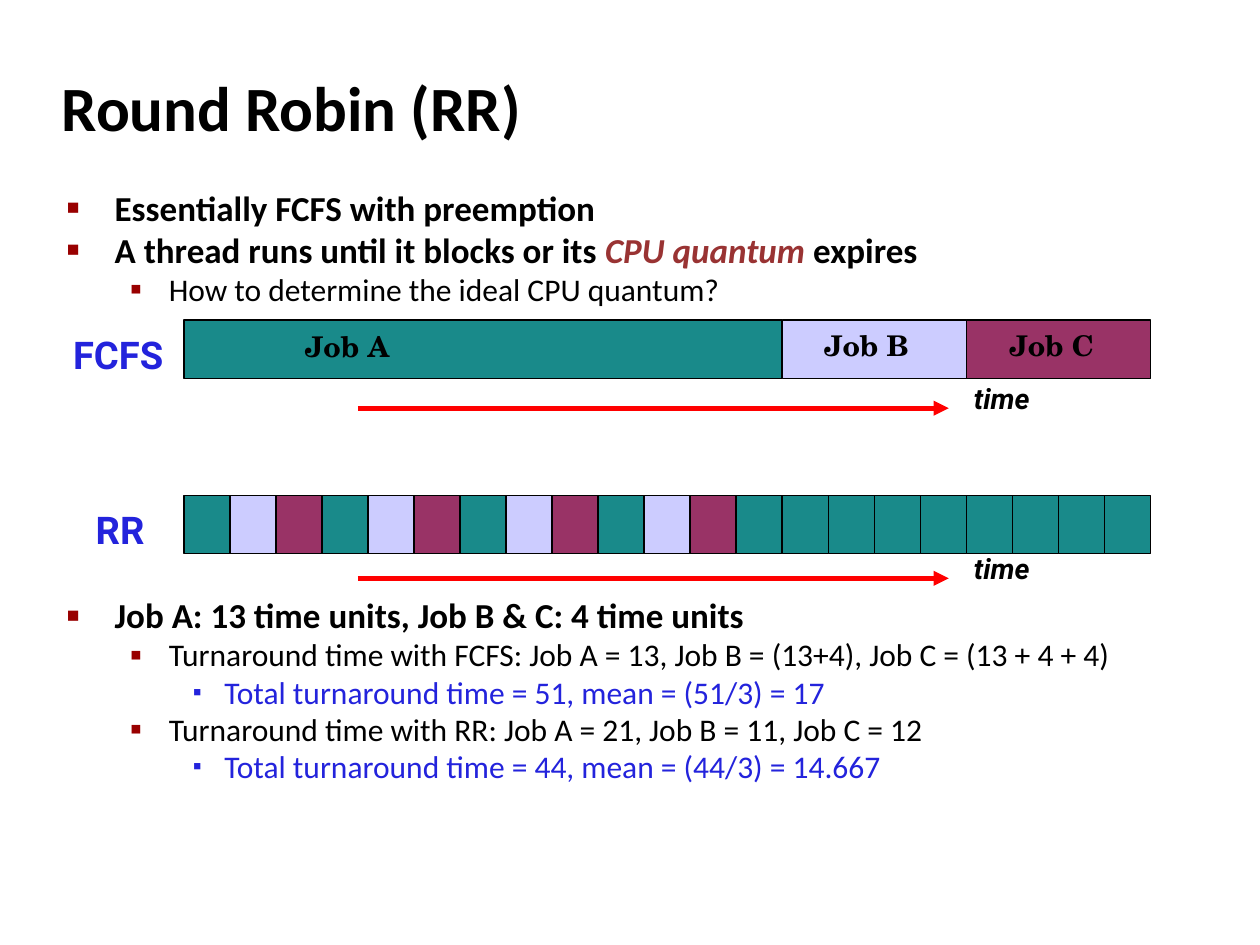
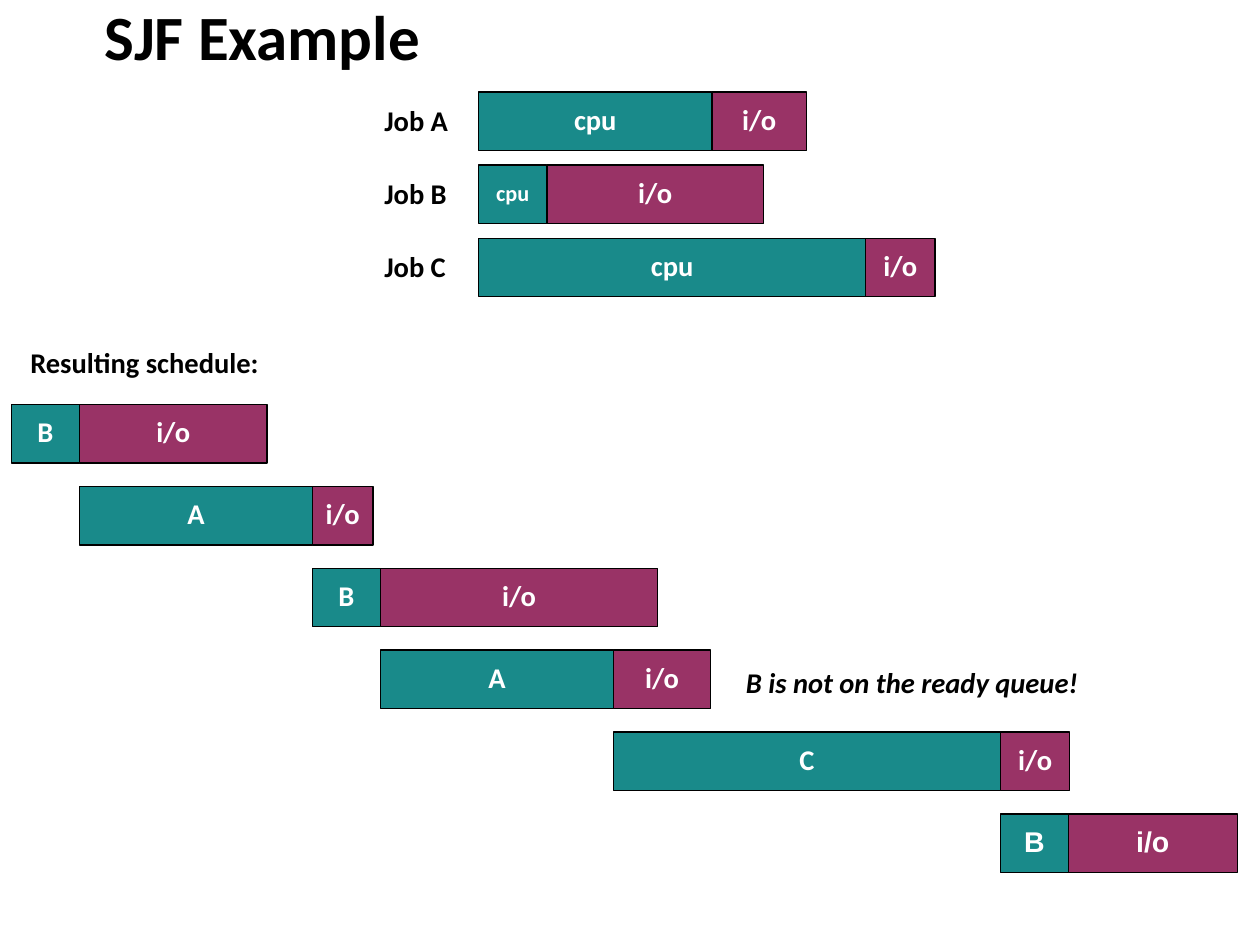
from lxml.etree import SubElement
from pptx import Presentation
from pptx.dml.color import RGBColor
from pptx.enum.shapes import MSO_CONNECTOR, MSO_SHAPE
from pptx.enum.text import MSO_ANCHOR, MSO_AUTO_SIZE, PP_ALIGN
from pptx.oxml.ns import qn
from pptx.util import Inches, Pt

BLACK = RGBColor(0x00, 0x00, 0x00)
WHITE = RGBColor(0xFF, 0xFF, 0xFF)
TEAL = RGBColor(0x19, 0x8A, 0x8A)
LAVENDER = RGBColor(0xCC, 0xCC, 0xFF)
PLUM = RGBColor(0x99, 0x33, 0x66)
BLUE = RGBColor(0x23, 0x23, 0xDC)
RED = RGBColor(0xFF, 0x00, 0x00)
BRICK = RGBColor(0x99, 0x33, 0x33)
DARK_RED = RGBColor(0x99, 0x00, 0x00)

deck = Presentation()
deck.slide_width, deck.slide_height = Inches(10), Inches(7.5)

# Grid: 100 columns by 75 rows
COLUMN = deck.slide_width / 100
ROW = deck.slide_height / 75
BAR_HEIGHT = 4.65


def write(para, text, size=16.3, font="Calibri", color=BLACK, bold=True,
          italic=False, align=PP_ALIGN.LEFT, spacing=0.9):
    """Add a formatted span to a paragraph."""
    para.alignment, para.line_spacing = align, spacing
    span = para.add_run()
    span.text = text
    span.font.size, span.font.name = Pt(size), font
    span.font.bold, span.font.italic = bold, italic
    span.font.color.rgb = color


def place(page, left, top, width, height, text="", fill=None, **text_format):
    """Put a filled bar, or a plain label if no fill is given, on the grid."""
    area = [round(left * COLUMN), round(top * ROW), round(width * COLUMN), round(height * ROW)]
    if fill is None:
        box = page.shapes.add_textbox(*area)
    else:
        box = page.shapes.add_shape(MSO_SHAPE.RECTANGLE, *area)
        box.shadow.inherit = False
        box.fill.solid()
        box.fill.fore_color.rgb = fill
        box.line.color.rgb, box.line.width = BLACK, Pt(0.75)
        box.text_frame.vertical_anchor = MSO_ANCHOR.MIDDLE
        text_format = {"color": WHITE, "align": PP_ALIGN.CENTER} | text_format
    frame = box.text_frame
    frame.word_wrap = True
    frame.margin_left = frame.margin_right = Inches(0.09)
    frame.margin_top = frame.margin_bottom = Inches(0.04)
    if text:
        write(frame.paragraphs[0], text, **text_format)


# Both pages with their titles: layout, text, left, top, width, height
pages = []
for layout, text, left, top, width, height in [
    (1, "Round Robin (RR)", 3.9, 4.8, 83, 8.3),
    (5, "SJF Example", 7.3, 1, 85.4, 4.6),
]:
    page = deck.slides.add_slide(deck.slide_layouts[layout])
    title = page.shapes.title
    title.left, title.top = round(left * COLUMN), round(top * ROW)
    title.width, title.height = round(width * COLUMN), round(height * ROW)
    title.text_frame.auto_size = MSO_AUTO_SIZE.NONE
    title.text_frame.vertical_anchor = MSO_ANCHOR.MIDDLE
    write(title.text_frame.paragraphs[0], text, size=36, spacing=0.82)
    pages.append(page)
robin_page, sjf_page = pages

# Round Robin: bullet list
body = robin_page.placeholders[1]
body.left, body.top = round(4.3 * COLUMN), round(14.9 * ROW)
body.width, body.height = round(86.4 * COLUMN), round(54.4 * ROW)
body.text_frame.auto_size = MSO_AUTO_SIZE.NONE
body.text_frame.vertical_anchor = MSO_ANCHOR.TOP

# Per level: margin, hanging indent, bullet, bullet percent, bullet colour, text format
LEVELS = [
    (0.38, 0.38, "■", 60, DARK_RED, {"size": 20}),
    (0.81, 0.31, "▪", 110, DARK_RED, {"size": 18, "bold": False}),
    (1.25, 0.25, "▪", 80, BLUE, {"size": 18, "bold": False, "color": BLUE}),
]
DIAGRAM_GAP = 168  # points left free for the two timelines
items = [
    (0, ["Essentially FCFS with preemption"]),
    (0, ["A thread runs until it blocks or its ", "CPU quantum", " expires"]),
    (1, ["How to determine the ideal CPU quantum?"]),
    (0, ["Job A: 13 time units, Job B & C: 4 time units"]),
    (1, ["Turnaround time with FCFS: Job A = 13, Job B = (13+4), Job C = (13 + 4 + 4)"]),
    (2, ["Total turnaround time = 51, mean = (51/3) = 17"]),
    (1, ["Turnaround time with RR: Job A = 21, Job B = 11, Job C = 12"]),
    (2, ["Total turnaround time = 44, mean = (44/3) = 14.667"]),
]
for index, (level, texts) in enumerate(items):
    margin, hang, bullet, percent, bullet_color, text_format = LEVELS[level]
    para = body.text_frame.paragraphs[0] if index == 0 else body.text_frame.add_paragraph()
    para.level = level
    for text in texts:
        emphasis = {"color": BRICK, "italic": True} if text == "CPU quantum" else {}
        write(para, text, spacing=0.82, **(text_format | emphasis))
    para.space_before = Pt(DIAGRAM_GAP if index == 3 else text_format["size"] / 5)
    para.space_after = Pt(0)
    properties = para._p.get_or_add_pPr()
    properties.set("marL", str(Inches(margin)))
    properties.set("indent", str(-Inches(hang)))
    SubElement(SubElement(properties, qn("a:buClr")), qn("a:srgbClr"), val=str(bullet_color))
    SubElement(properties, qn("a:buSzPct"), val=str(percent * 1000))
    SubElement(properties, qn("a:buFont"), typeface="Arial")
    SubElement(properties, qn("a:buChar"), char=bullet)

# Round Robin: two timelines of 21 time units
JOB_COLORS = {"A": TEAL, "B": LAVENDER, "C": PLUM}
TIMELINE_LEFT = 14.6
UNIT = 76.7 / 21
fcfs_turns = [("A", 13), ("B", 4), ("C", 4)]
robin_turns = [(job, 1) for job in "ABC" * 4 + "A" * 9]
for name, name_left, top, arrow_row, turns in [
    ("FCFS", 4.9, 25.4, 32.4, fcfs_turns),
    ("RR", 6.7, 39.3, 45.9, robin_turns),
]:
    start = TIMELINE_LEFT
    for job, units in turns:
        place(robin_page, start, top, units * UNIT, BAR_HEIGHT, fill=JOB_COLORS[job])
        start += units * UNIT
    place(robin_page, name_left, top + 0.5, 13, 4.6, name, size=21.8, font="Roboto",
          color=BLUE, spacing=1.0)

    arrow = robin_page.shapes.add_connector(
        MSO_CONNECTOR.STRAIGHT, round(28.4 * COLUMN), round(arrow_row * ROW),
        round(75.3 * COLUMN), round(arrow_row * ROW))
    arrow.line.color.rgb, arrow.line.width = RED, Pt(2.89)
    SubElement(arrow.line._get_or_add_ln(), qn("a:tailEnd"), type="triangle")
    SubElement(arrow._element.spPr, qn("a:effectLst"))
    place(robin_page, 76.4, arrow_row - 2.2, 7.4, 4.4, "time", font="Roboto",
          italic=True, spacing=0.86)

for job, left, top in [("A", 23.3, 26), ("B", 64.5, 25.9), ("C", 79.2, 25.9)]:
    place(robin_page, left, top, 9.1, 4.5, f"Job {job}", font="TeX Gyre Schola", spacing=0.92)

# SJF: the jobs, each a cpu burst followed by i/o
CPU_BURST = {"A": 18.5, "B": 5.4, "C": 30.7}
JOBS_LEFT = 38
for index, (job, io_burst) in enumerate([("A", 7.5), ("B", 17.2), ("C", 5.5)]):
    top = 7.3 + index * 5.8
    burst = CPU_BURST[job]
    place(sjf_page, 29.6, top + 0.8, 8, 3.4, f"Job {job}")
    place(sjf_page, JOBS_LEFT, top, burst, BAR_HEIGHT, "cpu", TEAL,
          size=12.7 if job == "B" else 16.3)
    place(sjf_page, JOBS_LEFT + burst, top, io_burst, BAR_HEIGHT, "i/o", PLUM)

# SJF: the schedule, where each burst starts as the one before leaves the cpu
place(sjf_page, 1.5, 27.3, 21.5, 3.4, "Resulting schedule:")
schedule = [("B", 14.9), ("A", 4.8), ("B", 22), ("A", 7.7), ("C", 5.5), ("B", 13.4)]
start = 0.9
for index, (job, io_burst) in enumerate(schedule):
    top = 32.1 + index * 6.5
    font = "Arial" if index == len(schedule) - 1 else "Calibri"
    place(sjf_page, start, top, CPU_BURST[job], BAR_HEIGHT, job, TEAL, font=font)
    start += CPU_BURST[job]
    place(sjf_page, start, top, io_burst, BAR_HEIGHT, "i/o", PLUM, font=font)
place(sjf_page, 58.3, 52.7, 30, 3.5, "B is not on the ready queue!", italic=True)

deck.save("out.pptx")
